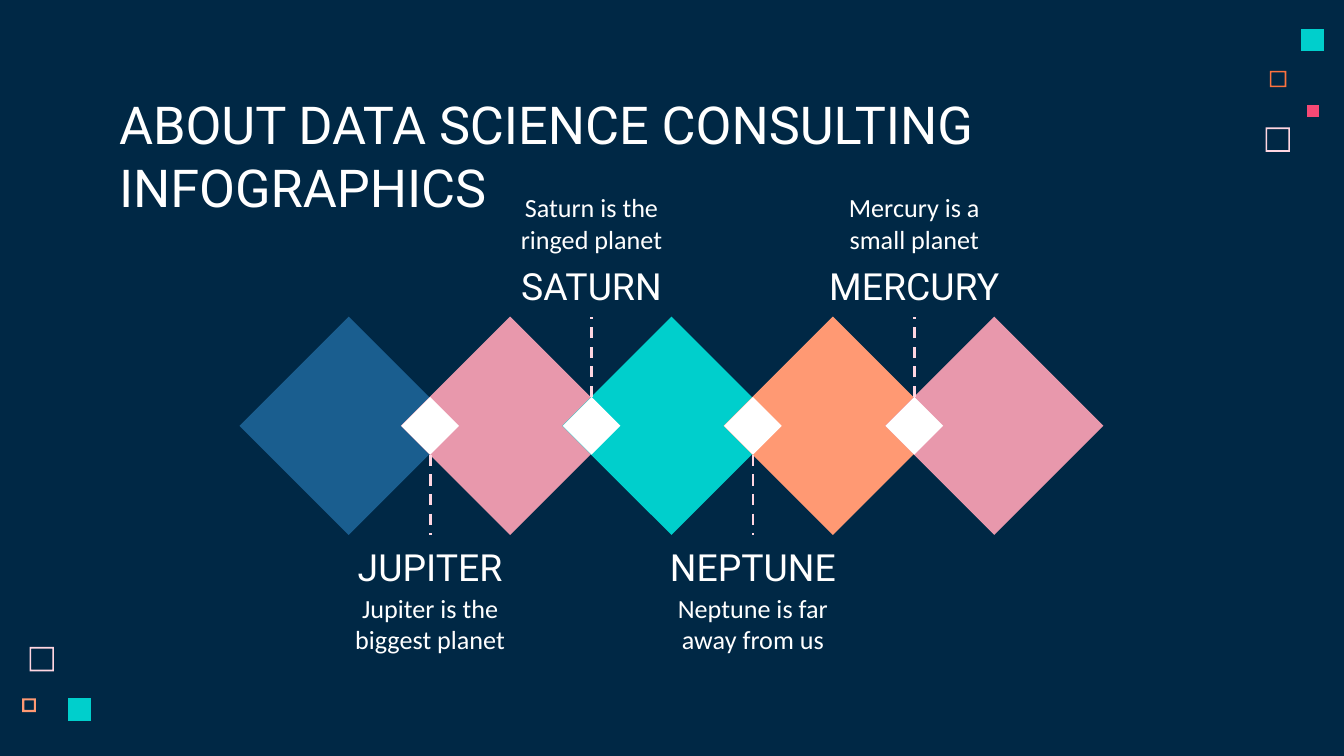
from pptx import Presentation
from pptx.dml.color import RGBColor
from pptx.enum.dml import MSO_LINE
from pptx.enum.shapes import MSO_CONNECTOR, MSO_SHAPE
from pptx.enum.text import MSO_ANCHOR, PP_ALIGN
from pptx.oxml.ns import qn
from pptx.util import Cm, Pt
from lxml import etree

WHITE, TEAL, ORANGE = "FFFFFF", "00CFCC", "FF9973"
PINK, PALE, BLUE = "E898AC", "FFD6E1", "1A5E8F"

STEP = 3.05       # distance between neighbouring diamonds
FIRST_X = 6.59    # centre of the first large diamond
JOINT_X = 8.13    # centre of the first joint
AXIS_Y = 8.05
SIDE, JOINT, REACH = 2.92, 1.09, 2.06
LABEL_W, NAME_H, NOTE_H = 4.06, 1.27, 1.35

# left, top, size, frame thickness (0 = solid), colour
DECOR = [
    (23.92, 2.41, 0.46, 0.03, PALE),
    (24, 1.34, 0.31, 0.03, "FC723F"),
    (24.59, 0.54, 0.43, 0, TEAL),
    (0.42, 13.2, 0.26, 0.04, ORANGE),
    (24.7, 1.98, 0.23, 0, "F64975"),
    (0.56, 12.23, 0.46, 0.03, PALE),
    (1.29, 13.2, 0.43, 0, TEAL),
]

# name, description, below the axis
PLANETS = [
    ("JUPITER", "Jupiter is the biggest planet", True),
    ("SATURN", "Saturn is the ringed planet", False),
    ("NEPTUNE", "Neptune is far away from us", True),
    ("MERCURY", "Mercury is a small planet", False),
]


def rgb(value):
    return RGBColor.from_string(value)


def paint(sp, color):
    sp.shadow.inherit = False
    sp.fill.solid()
    sp.fill.fore_color.rgb = rgb(color)
    sp.line.fill.background()


def add_text(shapes, text, x, y, w, h, size=14, font="Calibri", color=WHITE,
             align=PP_ALIGN.LEFT, anchor=MSO_ANCHOR.TOP):
    tf = shapes.add_textbox(Cm(x), Cm(y), Cm(w), Cm(h)).text_frame
    tf.word_wrap = True
    tf.vertical_anchor = anchor
    tf.margin_left = tf.margin_right = tf.margin_top = tf.margin_bottom = Cm(0.25)
    p = tf.paragraphs[0]
    p.alignment = align
    r = p.add_run()
    r.text = text
    r.font.size, r.font.name = Pt(size), font
    r.font.color.rgb = rgb(color)


def add_centred(s, kind, cx, cy, size, color, rotation=0):
    sp = s.shapes.add_shape(kind, Cm(cx - size / 2), Cm(cy - size / 2), Cm(size), Cm(size))
    sp.rotation = rotation
    paint(sp, color)
    return sp


def add_square(s, x, y, size, thickness, color):
    a, b = (Cm(x), Cm(y)), (Cm(x + size), Cm(y + size))
    fb = s.shapes.build_freeform(*a)
    fb.add_line_segments([(a[0], b[1]), b, (b[0], a[1])])
    if thickness:
        a = (a[0] + Cm(thickness), a[1] + Cm(thickness))
        b = (b[0] - Cm(thickness), b[1] - Cm(thickness))
        fb.move_to(*a)
        fb.add_line_segments([(b[0], a[1]), b, (a[0], b[1])])
    paint(fb.convert_to_shape(), color)


def add_leader(s, joint, cx, below):
    sign = 1 if below else -1
    line = s.shapes.add_connector(
        MSO_CONNECTOR.STRAIGHT, Cm(cx), Cm(AXIS_Y + sign * JOINT / 2),
        Cm(cx), Cm(AXIS_Y + sign * REACH))
    line.begin_connect(joint, 2 if below else 0)
    line.line.color.rgb = rgb(PALE)
    line.line.width = Pt(1.5)
    line.line.dash_style = MSO_LINE.DASH
    etree.SubElement(line._element.spPr, qn("a:effectLst"))


def add_label(s, name, note, cx, below):
    name_y, note_y = (10.11, 10.95) if below else (4.72, 3.71)
    anchors = [MSO_ANCHOR.BOTTOM, MSO_ANCHOR.TOP]
    name_anchor, note_anchor = anchors if below else reversed(anchors)
    shapes = s.shapes.add_group_shape().shapes
    x = cx - LABEL_W / 2
    add_text(shapes, name, x, name_y, LABEL_W, NAME_H, size=20, font="Roboto",
             align=PP_ALIGN.CENTER, anchor=name_anchor)
    add_text(shapes, note, x, note_y, LABEL_W, NOTE_H,
             align=PP_ALIGN.CENTER, anchor=note_anchor)


def main():
    prs = Presentation()
    prs.slide_width, prs.slide_height = Cm(25.4), Cm(14.29)
    s = prs.slides.add_slide(prs.slide_layouts[6])
    s.background.fill.solid()
    s.background.fill.fore_color.rgb = rgb("002845")

    # Corner squares
    for square in DECOR:
        add_square(s, *square)

    # Title
    add_text(s.shapes, "ABOUT DATA SCIENCE CONSULTING INFOGRAPHICS",
             2, 1.5, 21.41, 1.6, size=28, font="Roboto")

    # Chain of large diamonds
    for i, color in enumerate([BLUE, PINK, TEAL, ORANGE, PINK]):
        add_centred(s, MSO_SHAPE.RECTANGLE, FIRST_X + i * STEP, AXIS_Y, SIDE, color, 45)

    # Joints with leaders and labels
    for i, (name, note, below) in enumerate(PLANETS):
        cx = JOINT_X + i * STEP
        joint = add_centred(s, MSO_SHAPE.DIAMOND, cx, AXIS_Y, JOINT, WHITE)
        add_leader(s, joint, cx, below)
        add_label(s, name, note, cx, below)

    prs.save("out.pptx")


if __name__ == "__main__":
    main()
